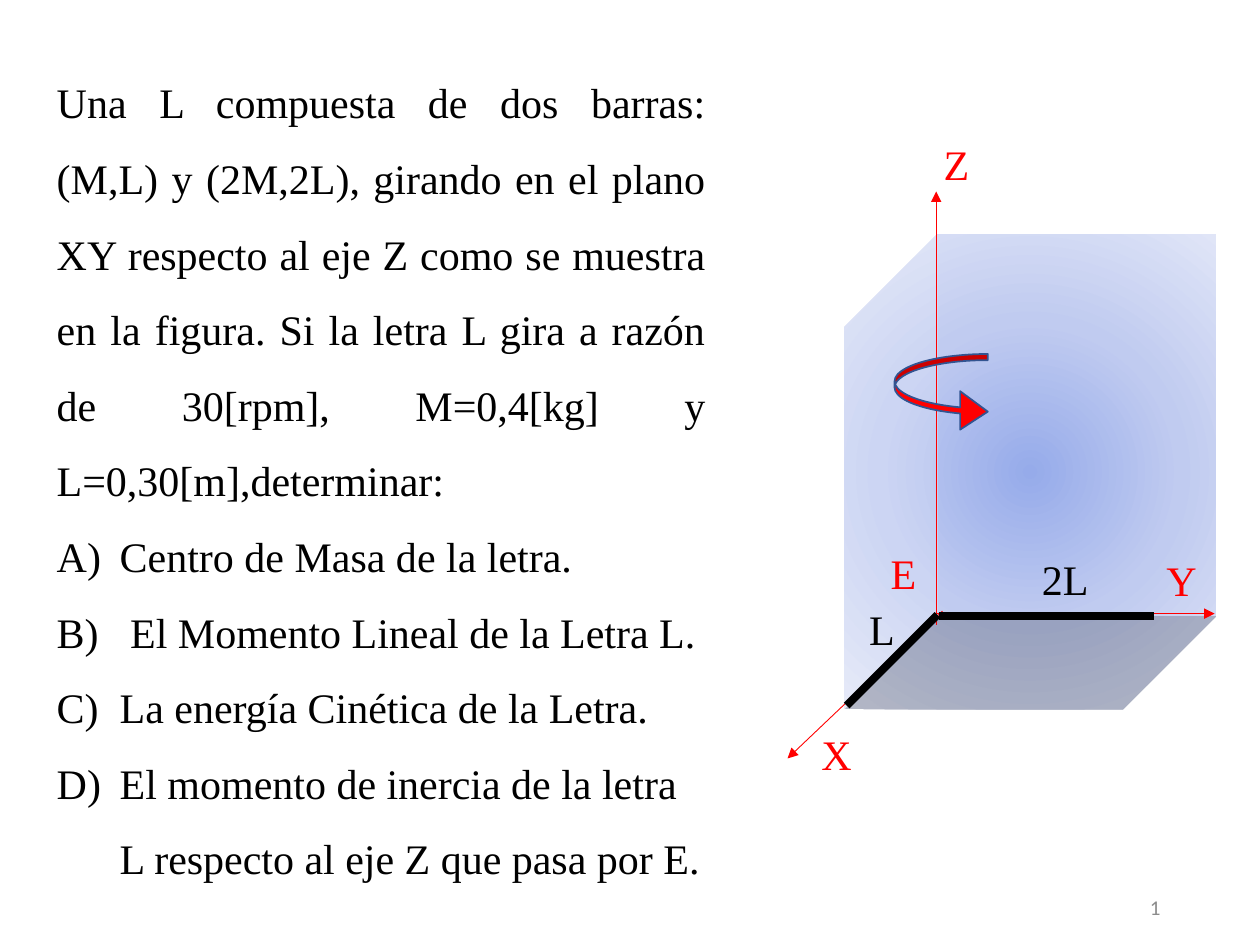
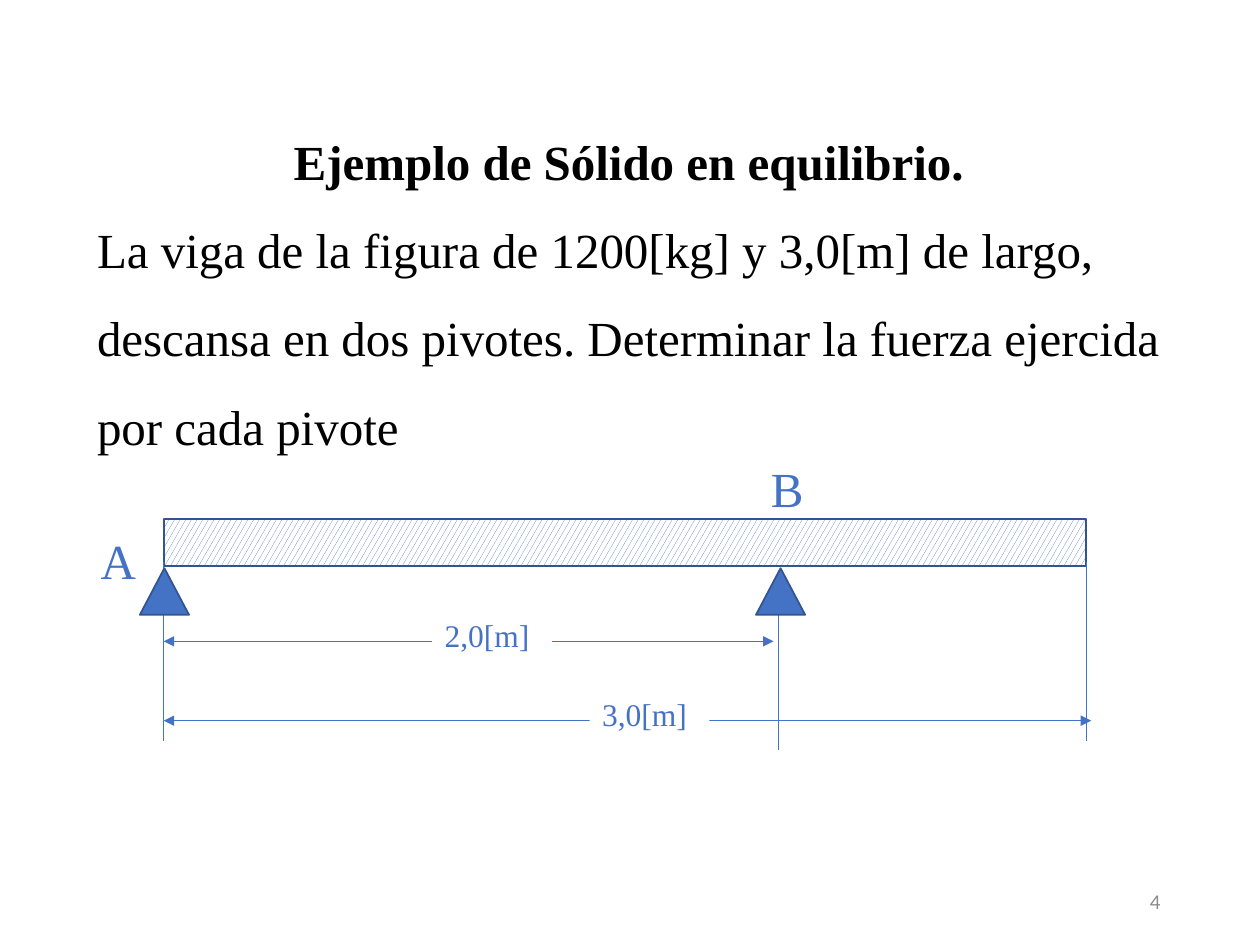
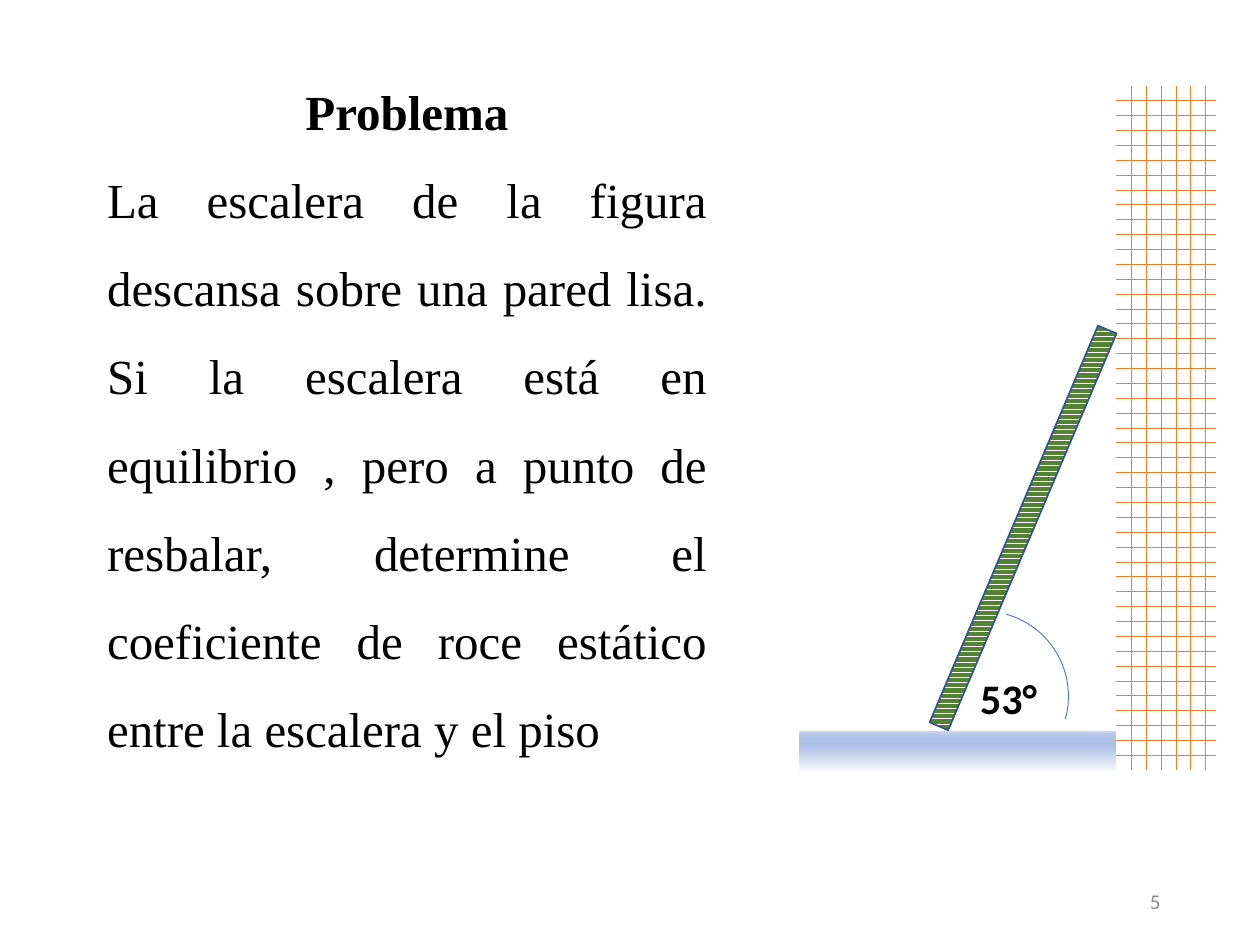
from dataclasses import dataclass

from lxml import etree
from pptx import Presentation
from pptx.dml.color import RGBColor
from pptx.enum.dml import MSO_PATTERN
from pptx.enum.shapes import MSO_CONNECTOR, MSO_SHAPE
from pptx.enum.text import MSO_ANCHOR, MSO_AUTO_SIZE, PP_ALIGN
from pptx.oxml import parse_xml
from pptx.oxml.ns import nsdecls, qn
from pptx.util import Emu, Pt

EMU_PER_PX = 9144
LEFT, CENTER, RIGHT, JUSTIFY = PP_ALIGN.LEFT, PP_ALIGN.CENTER, PP_ALIGN.RIGHT, PP_ALIGN.JUSTIFY
TOP, MIDDLE = MSO_ANCHOR.TOP, MSO_ANCHOR.MIDDLE
RECTANGLE, CUBE, TRIANGLE = MSO_SHAPE.RECTANGLE, MSO_SHAPE.CUBE, MSO_SHAPE.ISOSCELES_TRIANGLE
ARC, CURVED_ARROW = MSO_SHAPE.ARC, MSO_SHAPE.CURVED_RIGHT_ARROW
CONFETTI, BRICK, STRIPES = (
    MSO_PATTERN.LARGE_CONFETTI, MSO_PATTERN.HORIZONTAL_BRICK, MSO_PATTERN.DARK_HORIZONTAL)
HEAD, TAIL = "a:headEnd", "a:tailEnd"


@dataclass(frozen=True)
class Theme:
    serif: str = "Times New Roman"
    sans: str = "Calibri"
    ink: str = "000000"
    paper: str = "FFFFFF"
    muted: str = "8C8C8C"
    axis: str = "FF0000"
    blue: str = "4472C4"
    outline: str = "325491"
    brick: str = "ED7D31"
    ladder: str = "548235"
    cube_stops: tuple = ((0, "96ABEA"), (50, "C0CBF0"), (100, "E0E5F7"))
    floor_stops: tuple = ((0, "F6F8FC"), (64, "ABC0E4"), (83, "ABC0E4"), (100, "C7D5ED"))
    heading: int = 28
    text: int = 24
    dimension: int = 18
    footer: int = 12
    spacing: float = 1.5
    hairline: float = 0.5
    edge: float = 1
    bar: float = 4.5


def px(*lengths):
    return [Emu(length * EMU_PER_PX) for length in lengths]


class Deck:
    """Hold the theme and the current slide, and draw elements on it."""

    def __init__(self, theme):
        self.theme = theme
        self.presentation = Presentation()
        self.presentation.slide_width, self.presentation.slide_height = px(1000, 750)
        self.slide = None

    def new_slide(self, number, number_top=695):
        self.slide = self.presentation.slides.add_slide(self.presentation.slide_layouts[1])
        self.label(str(number), (706, number_top, 225, 40), self.theme.muted,
                   self.theme.footer, self.theme.sans, alignment=RIGHT, anchor=MIDDLE)

    def style(self, paragraph, color, size, font=None, bold=False, alignment=LEFT):
        paragraph.alignment = alignment
        paragraph.font.name = font or self.theme.serif
        paragraph.font.size = Pt(size)
        paragraph.font.bold = bold
        paragraph.font.color.rgb = RGBColor.from_string(color)

    def frame(self, shape, anchor=TOP):
        text_frame = shape.text_frame
        text_frame.word_wrap = True
        text_frame.auto_size = MSO_AUTO_SIZE.NONE
        text_frame.vertical_anchor = anchor
        return text_frame

    def place(self, shape, box):
        shape.left, shape.top, shape.width, shape.height = px(*box)

    def title(self, text, box):
        title = self.slide.shapes.title
        self.place(title, box)
        paragraph = self.frame(title).paragraphs[0]
        paragraph.text = text
        paragraph.line_spacing = self.theme.spacing
        self.style(paragraph, self.theme.ink, self.theme.heading, bold=True, alignment=CENTER)

    def remove_title(self):
        title = self.slide.shapes.title.element
        title.getparent().remove(title)

    def body(self, text, box, size, alignment=LEFT, items=()):
        body = self.slide.placeholders[1]
        self.place(body, box)
        text_frame = self.frame(body)
        text_frame.text = "\n".join([text, *items])
        for index, paragraph in enumerate(text_frame.paragraphs):
            numbered = index > 0
            paragraph.line_spacing = self.theme.spacing
            paragraph.space_before = Pt(0)
            properties = paragraph._p.get_or_add_pPr()
            indent = px(50 if numbered else 0)[0]
            properties.set("marL", str(indent))
            properties.set("indent", str(-indent))
            if numbered:
                bullet = etree.SubElement(properties, qn("a:buAutoNum"))
                bullet.set("type", "alphaUcParenR")
            else:
                etree.SubElement(properties, qn("a:buNone"))
            self.style(paragraph, self.theme.ink, size, alignment=LEFT if numbered else alignment)

    def label(self, text, box, color, size, font=None, bold=False, alignment=LEFT, anchor=TOP):
        shape = self.slide.shapes.add_textbox(*px(*box))
        paragraph = self.frame(shape, anchor).paragraphs[0]
        paragraph.text = text
        self.style(paragraph, color, size, font, bold, alignment)

    def shape(self, kind, box, fill=None, line=None, width=None, pattern=None,
              rotation=0, flipped=False):
        shape = self.slide.shapes.add_shape(kind, *px(*box))
        shape.shadow.inherit = False
        shape.rotation = rotation
        if flipped:
            shape._element.spPr.xfrm.set("flipV", "1")
        if pattern:
            shape.fill.patterned()
            shape.fill.pattern = pattern
            shape.fill.fore_color.rgb = RGBColor.from_string(fill)
            shape.fill.back_color.rgb = RGBColor.from_string(self.theme.paper)
        elif fill:
            shape.fill.solid()
            shape.fill.fore_color.rgb = RGBColor.from_string(fill)
        else:
            shape.fill.background()
        if line:
            shape.line.color.rgb = RGBColor.from_string(line)
            shape.line.width = Pt(width or self.theme.edge)
        else:
            shape.line.fill.background()
        return shape

    def gradient(self, shape, stops, direction):
        stop_xml = "".join(
            f'<a:gs pos="{position * 1000}"><a:srgbClr val="{color}"/></a:gs>'
            for position, color in stops)
        properties = shape._element.spPr
        properties.replace(properties.find(qn("a:noFill")), parse_xml(
            f'<a:gradFill {nsdecls("a")} rotWithShape="1">'
            f"<a:gsLst>{stop_xml}</a:gsLst>{direction}</a:gradFill>"))

    def line(self, start, end, color, width=None, arrows=()):
        connector = self.slide.shapes.add_connector(MSO_CONNECTOR.STRAIGHT, *px(*start, *end))
        connector.line.color.rgb = RGBColor.from_string(color)
        connector.line.width = Pt(width or self.theme.hairline)
        for arrow in arrows:
            etree.SubElement(connector.line._ln, qn(arrow)).set("type", "triangle")
        etree.SubElement(connector._element.spPr, qn("a:effectLst"))

    def dimension(self, text, left, right, y, label_left):
        self.line((left, y), (right, y), self.theme.blue, arrows=(HEAD, TAIL))
        box = (label_left, y - 25, 95, 40)
        shape = self.shape(RECTANGLE, box, self.theme.paper)
        paragraph = self.frame(shape).paragraphs[0]
        paragraph.text = text
        self.style(paragraph, self.theme.blue, self.theme.dimension)


def rotating_letter(deck):
    theme = deck.theme
    deck.new_slide(1, number_top=700)
    deck.remove_title()
    deck.body(
        "Una L compuesta de dos barras: (M,L) y (2M,2L), girando en el plano XY respecto al eje Z "
        "como se muestra en la figura. Si la letra L gira a razón de 30[rpm], M=0,4[kg] y "
        "L=0,30[m],determinar:",
        (35, 36, 535, 669), theme.text, JUSTIFY,
        ("Centro de Masa de la letra.",
         " El Momento Lineal de la Letra L.",
         "La energía Cinética de la Letra.",
         "El momento de inercia de la letra L respecto al eje Z que pasa por E."))
    cube = deck.shape(CUBE, (629, 227, 377, 295), rotation=90, flipped=True)
    deck.gradient(cube, theme.cube_stops,
                  '<a:path path="circle"><a:fillToRect l="50000" t="50000" r="50000" b="50000"/>'
                  "</a:path>")
    for tip, base in (((964, 487), (744, 487)), ((743, 152), (743, 496)), ((625, 602), (748, 485))):
        deck.line(tip, base, theme.axis, arrows=(HEAD,))
    for start, end in (((745, 489), (916, 489)), ((672, 560), (744, 488))):
        deck.line(start, end, theme.ink, theme.bar)
    for text, left, top, width, color in (
            ("X", 642, 573, 27, theme.axis), ("Z", 739, 105, 33, theme.axis),
            ("Y", 916, 435, 33, theme.axis), ("2L", 817, 434, 58, theme.ink),
            ("L", 680, 474, 33, theme.ink)):
        deck.label(text, (left, top, width, 50), color, theme.text)
    turn = deck.shape(CURVED_ARROW, (710, 281, 74, 61), theme.axis, theme.outline)
    for index, value in enumerate((0.08, 0.5, 0.36)):
        turn.adjustments[index] = value
    deck.label("E", (697, 430, 33, 50), theme.axis, theme.text)


def beam_on_pivots(deck):
    theme = deck.theme
    beam_left, pivot_b, beam_right = 130, 618, 862
    deck.new_slide(4)
    deck.title("Ejemplo de Sólido en equilibrio.", (67, 76, 864, 80))
    deck.body(
        "La viga de la figura de 1200[kg] y 3,0[m] de largo, descansa en dos pivotes. "
        "Determinar la fuerza ejercida por cada pivote",
        (67, 146, 864, 214), theme.heading)
    deck.shape(RECTANGLE, (beam_left, 412, beam_right - beam_left, 37), theme.blue,
               theme.outline, pattern=CONFETTI)
    for x, top, bottom in ((beam_left, 446, 588), (pivot_b, 454, 595), (beam_right, 446, 588)):
        deck.line((x, top), (x, bottom), theme.blue)
    for left in (111, 600):
        deck.shape(TRIANGLE, (left, 451, 39, 37), theme.blue, theme.outline)
    deck.dimension("2,0[m]", beam_left, 614, 509, 343)
    deck.dimension("3,0[m]", beam_left, 866, 572, 468)
    for text, left, top in (("A", 70, 416), ("B", 602, 359)):
        deck.label(text, (left, top, 57, 57), theme.blue, theme.heading)


def leaning_ladder(deck):
    theme = deck.theme
    deck.new_slide(5)
    deck.title("Problema", (75, 36, 496, 80))
    deck.body(
        "La escalera de la figura descansa sobre una pared lisa. Si la escalera está en "
        "equilibrio , pero a punto de resbalar, determine el coeficiente de roce estático "
        "entre la escalera y el piso",
        (75, 106, 496, 497), theme.heading, JUSTIFY)
    deck.shape(RECTANGLE, (886, 68, 79, 543), theme.brick, pattern=BRICK)
    floor = deck.shape(RECTANGLE, (634, 580, 252, 32), flipped=True)
    deck.gradient(floor, theme.floor_stops, '<a:lin ang="5400000" scaled="0"/>')
    deck.shape(RECTANGLE, (804, 248, 16, 342), theme.ladder, theme.outline,
               pattern=STRIPES, rotation=23)
    deck.label("53°", (768, 529, 71, 50), theme.ink, theme.text, theme.sans, bold=True)
    deck.shape(ARC, (713, 485, 135, 135), line=theme.blue, width=theme.hairline, rotation=15.8)


def main():
    deck = Deck(Theme())
    rotating_letter(deck)
    beam_on_pivots(deck)
    leaning_ladder(deck)
    deck.presentation.save("out.pptx")


if __name__ == "__main__":
    main()
